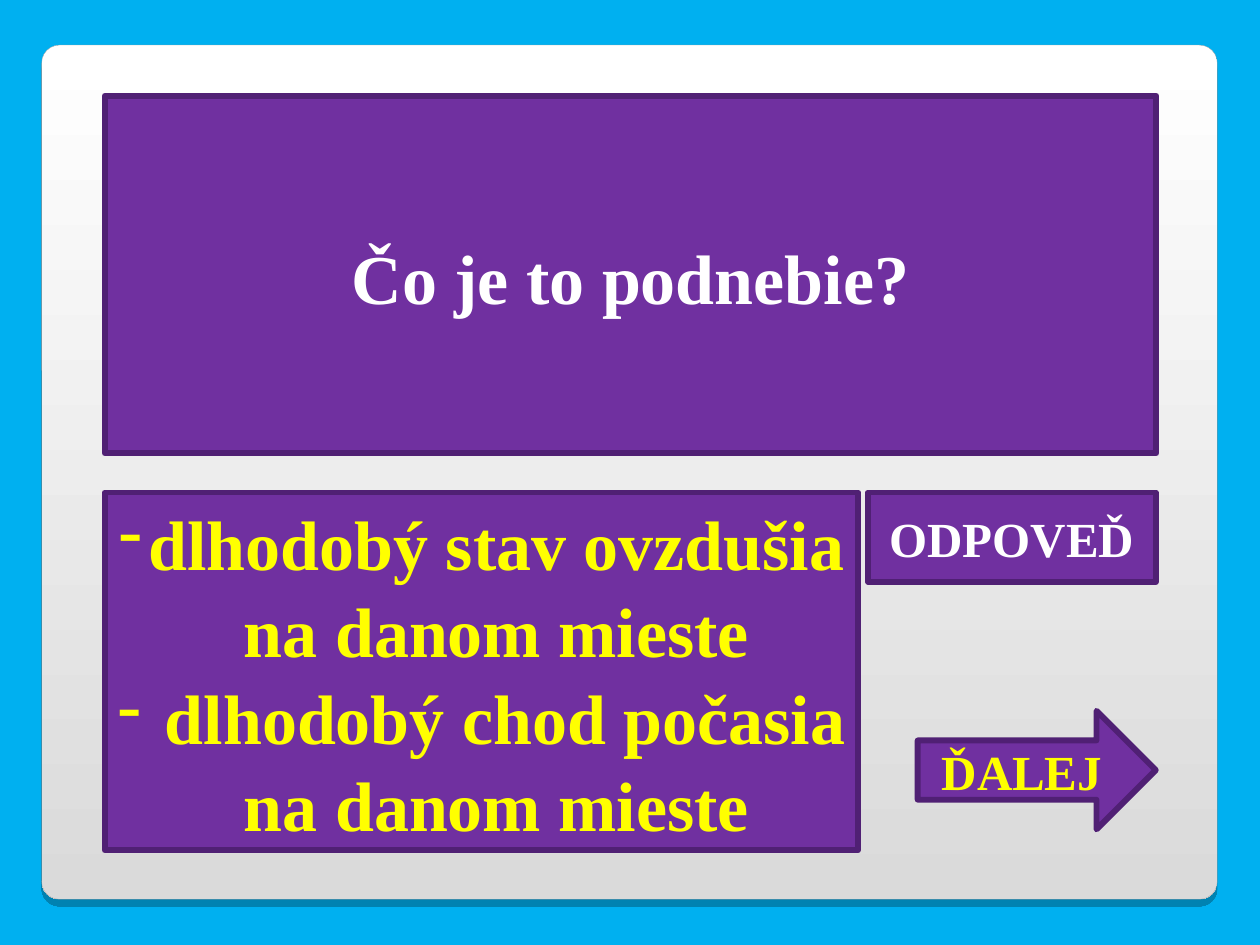
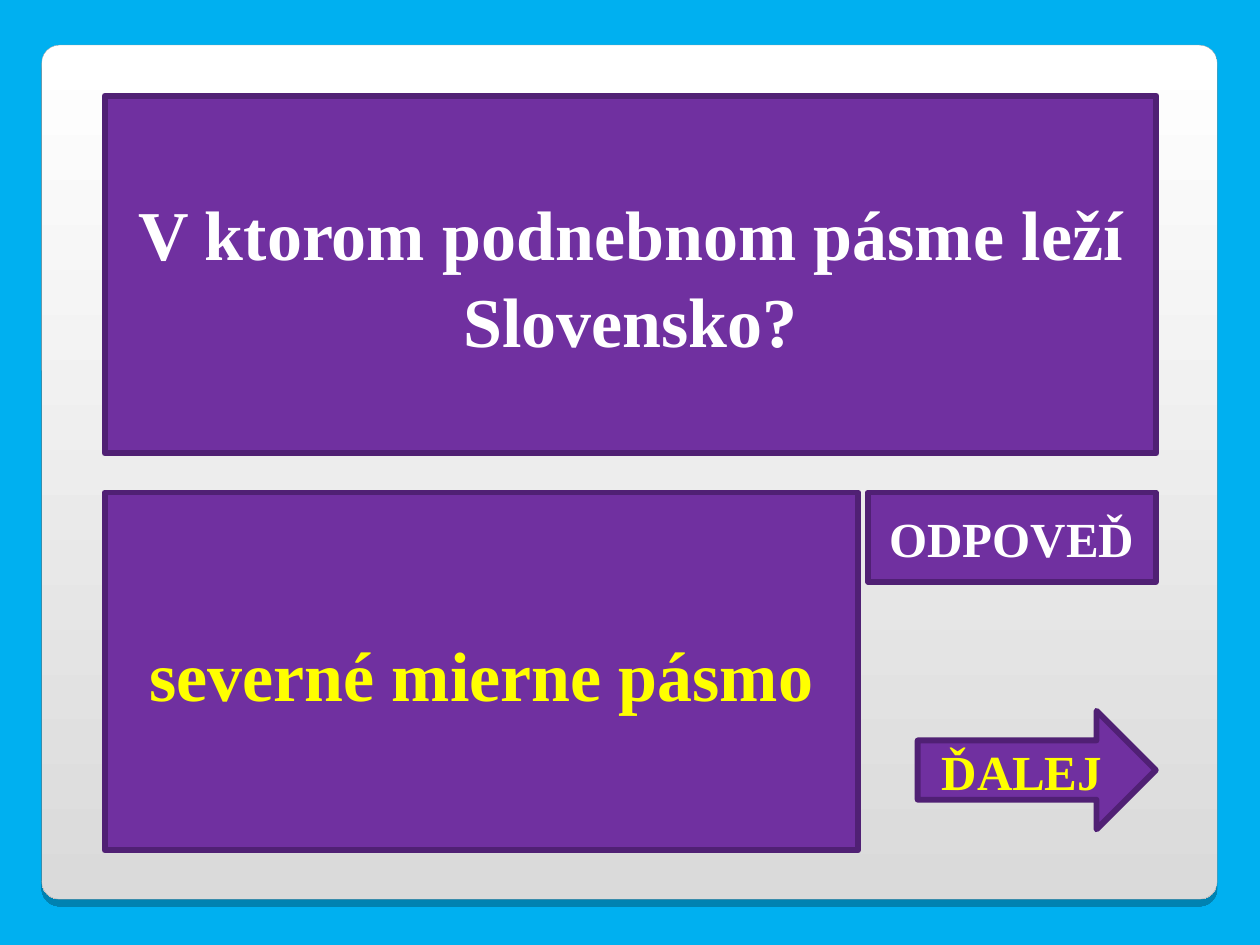
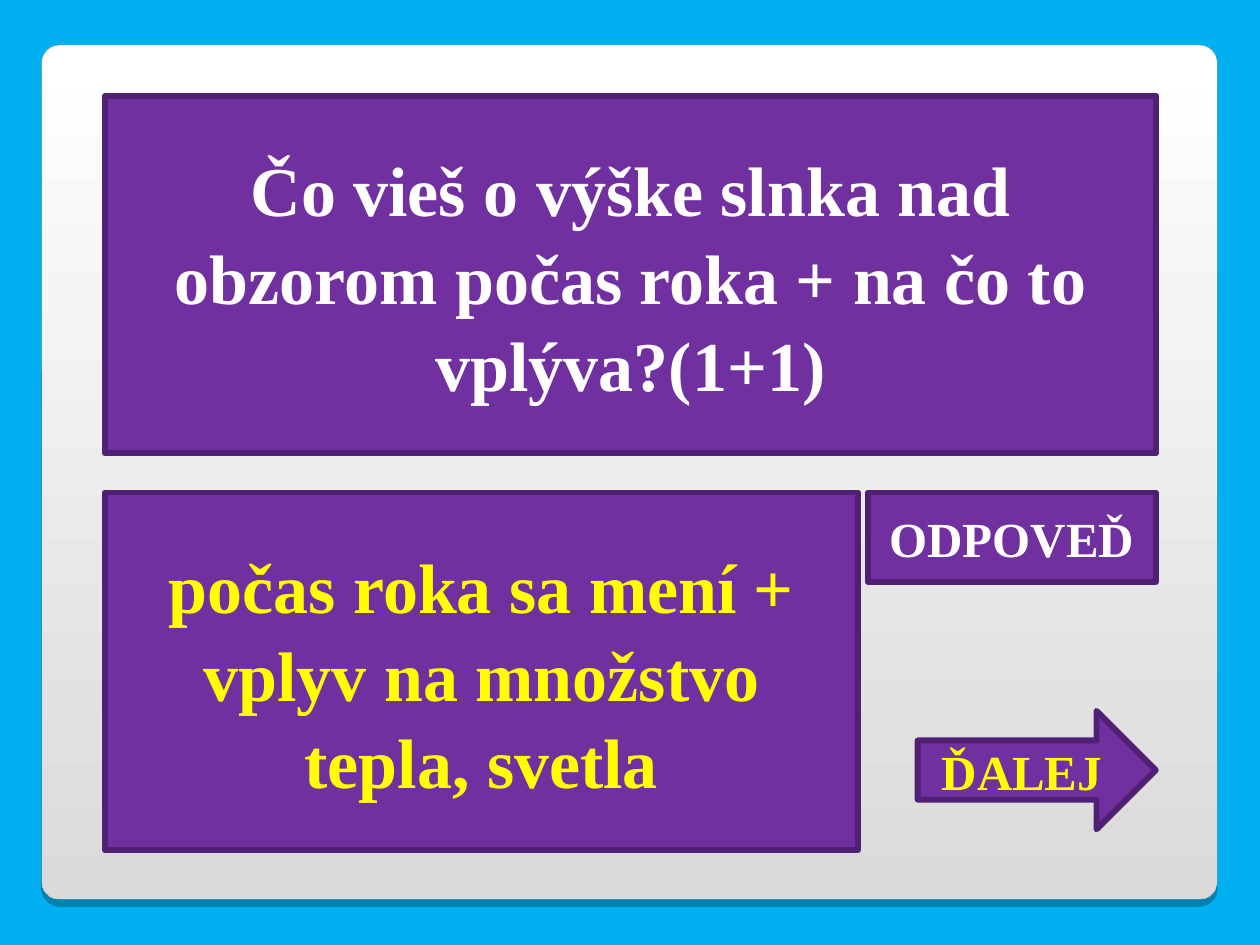
from lxml.etree import SubElement
from pptx import Presentation
from pptx.dml.color import RGBColor
from pptx.enum.shapes import MSO_SHAPE
from pptx.enum.text import MSO_ANCHOR, PP_ALIGN
from pptx.oxml.ns import qn
from pptx.util import Cm, Pt

COLOURS = {
    "sky": "00B0F0",
    "panel_top": "FFFFFF",
    "panel_bottom": "DADADA",
    "panel_edge": "A4A3A3",
    "shadow": "000000",
    "purple": "7030A0",
    "dark_purple": "502074",
    "white": "FFFFFF",
    "yellow": "FFFF00",
}
FONT = "Times New Roman"
LARGE, SMALL = 40, 28
BULLET_INDENT = Cm(0.6)

# Regions as left, top, width, height in centimetres
PANEL = (0.84, 0.91, 23.7, 17.22)
QUESTION = (2.11, 1.93, 21.2, 7.21)
ANSWER = (2.11, 9.93, 15.19, 7.21)
ANSWER_LABEL = (17.5, 9.93, 5.8, 1.8)
NEXT_ARROW = (18.5, 14.33, 4.8, 2.39)

# Question, answer paragraphs, whether the answer is a list
CARDS = [
    ("Čo je to podnebie?",
     ["dlhodobý stav ovzdušia na danom mieste",
      " dlhodobý chod počasia na danom mieste"], True),
    ("V ktorom podnebnom pásme leží Slovensko?",
     ["severné mierne pásmo"], False),
    ("Čo vieš o výške slnka nad obzorom počas roka + na čo to vplýva?(1+1)",
     ["počas roka sa mení + vplyv na množstvo tepla, svetla"], False),
]


def colour(name):
    return RGBColor.from_string(COLOURS[name])


def lengths(box):
    return [Cm(value) for value in box]


def add_dash(para, colour_name):
    properties = para._p.get_or_add_pPr()
    properties.set("marL", str(BULLET_INDENT))
    properties.set("indent", str(-BULLET_INDENT))
    bullet_colour = SubElement(properties, qn("a:buClr"))
    SubElement(bullet_colour, qn("a:srgbClr"), val=COLOURS[colour_name])
    SubElement(properties, qn("a:buFontTx"))
    SubElement(properties, qn("a:buChar"), char="-")


def write_text(shape, lines, size, colour_name, dashed=False):
    frame = shape.text_frame
    frame.word_wrap = True
    frame.vertical_anchor = MSO_ANCHOR.MIDDLE
    for index, line in enumerate(lines):
        para = frame.add_paragraph() if index else frame.paragraphs[0]
        para.alignment = PP_ALIGN.CENTER
        para.line_spacing = 1.04
        if dashed:
            add_dash(para, colour_name)
        span = para.add_run()
        span.text = line
        span.font.name = FONT
        span.font.size = Pt(size)
        span.font.bold = True
        span.font.color.rgb = colour(colour_name)


def paint_purple(shape):
    shape.fill.solid()
    shape.fill.fore_color.rgb = colour("purple")
    shape.line.color.rgb = colour("dark_purple")
    shape.line.width = Pt(3.34)


def add_block(page, kind, box, lines, size, colour_name, dashed=False):
    block = page.shapes.add_shape(kind, *lengths(box))
    block.shadow.inherit = False
    paint_purple(block)
    write_text(block, lines, size, colour_name, dashed)


def add_shared_panel(deck, layout, page):
    """Draw the rounded panel and place it on the layout behind its title."""
    background = deck.slide_master.background.fill
    background.solid()
    background.fore_color.rgb = colour("sky")

    panel = page.shapes.add_shape(MSO_SHAPE.ROUNDED_RECTANGLE, *lengths(PANEL))
    panel.adjustments[0] = 0.021
    panel.fill.gradient()
    panel.fill.gradient_angle = 270
    for stop, name in zip(panel.fill.gradient_stops, ("panel_top", "panel_bottom")):
        stop.color.rgb = colour(name)
    for stop, position in zip(panel.fill.gradient_stops, (0, 1)):
        stop.position = position
    panel.line.color.rgb = colour("panel_edge")
    panel.line.width = Pt(0.17)

    # Soft edge below the panel
    panel.shadow.inherit = False
    effects = panel._element.spPr.find(qn("a:effectLst"))
    shadow = SubElement(effects, qn("a:outerShdw"), blurRad="0",
                        dist=str(Pt(4)), dir="5400000", rotWithShape="0")
    tint = SubElement(shadow, qn("a:srgbClr"), val=COLOURS["shadow"])
    SubElement(tint, qn("a:alpha"), val="25000")

    panel._element.nvSpPr.cNvPr.set("id", "20")
    layout.placeholders[0]._element.addprevious(panel._element)


def add_question(page, question):
    title = page.shapes.title
    title.left, title.top, title.width, title.height = lengths(QUESTION)
    paint_purple(title)
    write_text(title, [question], LARGE, "white")


def add_answer(page, answer, dashed):
    add_block(page, MSO_SHAPE.RECTANGLE, ANSWER, answer, LARGE, "yellow", dashed)
    add_block(page, MSO_SHAPE.RECTANGLE, ANSWER_LABEL, ["ODPOVEĎ"], SMALL, "white")


def add_next_arrow(page):
    add_block(page, MSO_SHAPE.RIGHT_ARROW, NEXT_ARROW, ["ĎALEJ"], SMALL, "yellow")


def main():
    deck = Presentation()
    deck.slide_width, deck.slide_height = Cm(25.4), Cm(19.05)
    layout = deck.slide_layouts[5]
    for index, (question, answer, dashed) in enumerate(CARDS):
        page = deck.slides.add_slide(layout)
        if index == 0:
            add_shared_panel(deck, layout, page)
        add_question(page, question)
        add_answer(page, answer, dashed)
        add_next_arrow(page)
    deck.save("out.pptx")


if __name__ == "__main__":
    main()
